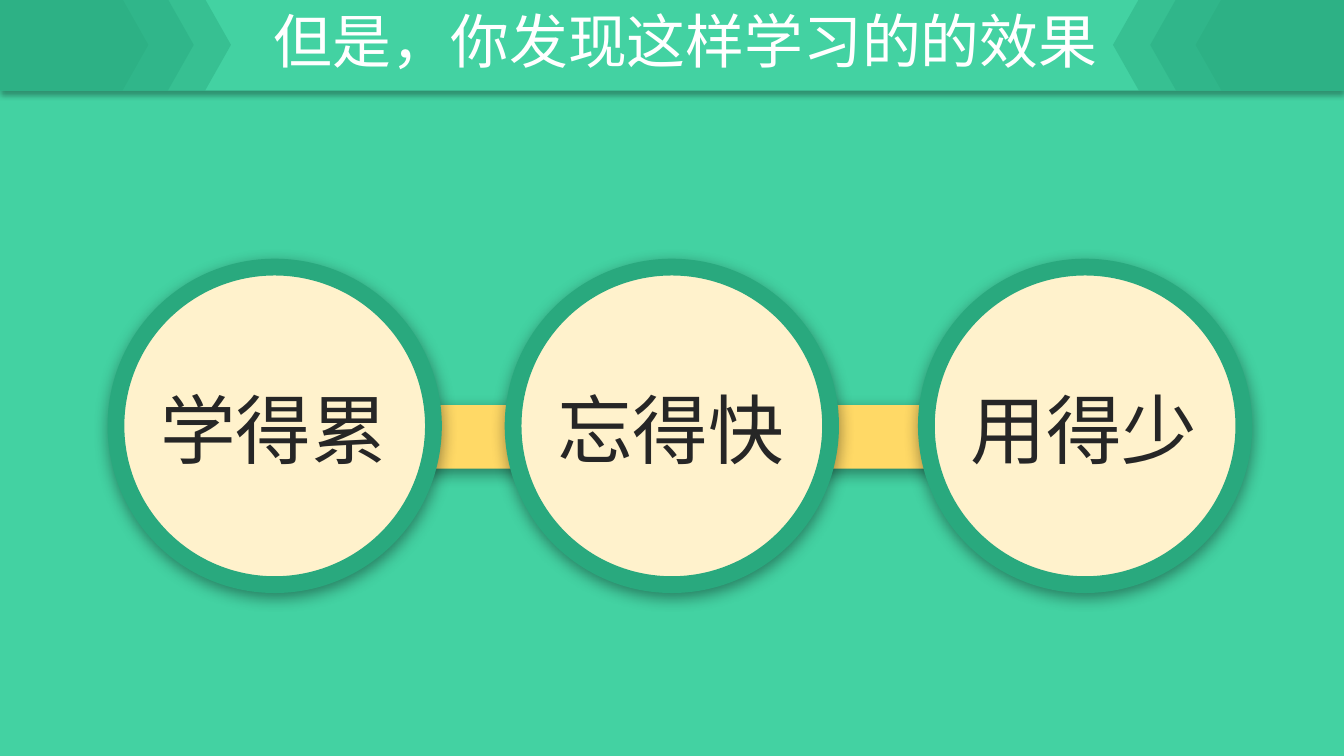
from lxml.etree import SubElement
from pptx import Presentation
from pptx.dml.color import RGBColor
from pptx.enum.shapes import MSO_SHAPE
from pptx.enum.text import MSO_AUTO_SIZE
from pptx.oxml.ns import qn
from pptx.util import Pt

TITLE = "但是，你发现这样学习的的效果"
# Left edge of each circle, and its words
CIRCLES = [(82.8, "学得累"), (366.5, "忘得快"), (661.7, "用得少")]
PLATE_WIDTHS = [108, 140.4, 167]

FONT = "Noto Sans CJK SC"
GREEN = RGBColor(0x43, 0xD2, 0xA2)
RING_GREEN = RGBColor(0x29, 0xA9, 0x7E)
PLATE_GREEN = RGBColor(0x2A, 0xAC, 0x81)
YELLOW = RGBColor(0xFF, 0xD9, 0x66)
CREAM = RGBColor(0xFF, 0xF2, 0xCC)
DARK = RGBColor(0x26, 0x26, 0x26)
WHITE = RGBColor(0xFF, 0xFF, 0xFF)

SLIDE_WIDTH, SLIDE_HEIGHT = 960, 540
CIRCLE_TOP, CIRCLE_SIZE = 190.8, 226.8
LABEL_TOP, LABEL_WIDTH, LABEL_HEIGHT = 270, 177.8, 72.7
HEADER_TOP, HEADER_HEIGHT = -0.7, 65.5
PLATE_OVERHANG = 2


def add_filled_shape(slide, kind, left, top, width, height, color):
    shape = slide.shapes.add_shape(kind, Pt(left), Pt(top), Pt(width), Pt(height))
    shape.shadow.inherit = False
    shape.fill.solid()
    shape.fill.fore_color.rgb = color
    shape.line.fill.background()
    return shape


def add_shadow(shape, opacity, blur):
    """Cast a soft black shadow straight down."""
    effects = shape._element.spPr.find(qn("a:effectLst"))
    shadow = SubElement(effects, qn("a:outerShdw"), blurRad=str(Pt(blur)),
                        dist=str(Pt(3)), dir="5400000", algn="t", rotWithShape="0")
    black = SubElement(shadow, qn("a:srgbClr"), val="000000")
    SubElement(black, qn("a:alpha"), val=str(opacity * 1000))


def add_text(slide, text, left, top, width, height, size, color):
    box = slide.shapes.add_textbox(Pt(left), Pt(top), Pt(width), Pt(height))
    frame = box.text_frame
    frame.word_wrap = False
    frame.auto_size = MSO_AUTO_SIZE.SHAPE_TO_FIT_TEXT
    run = frame.paragraphs[0].add_run()
    run.text = text
    run.font.size = Pt(size)
    run.font.color.rgb = color
    run.font.name = FONT
    SubElement(run._r.get_or_add_rPr(), qn("a:ea"), typeface=FONT)


def add_plate(slide, left, width):
    plate = add_filled_shape(slide, MSO_SHAPE.PENTAGON, left, HEADER_TOP,
                             width, HEADER_HEIGHT, PLATE_GREEN)
    plate.adjustments[0] = 0.283
    color = plate._element.spPr.find(qn("a:solidFill"))[0]
    SubElement(color, qn("a:alpha"), val="47000")
    return plate


def add_circles(slide):
    band = add_filled_shape(slide, MSO_SHAPE.CHEVRON, 233.3, 289.4, 570.2, 45.4, YELLOW)
    band.rotation = 180
    add_shadow(band, 40, 11)
    for left, label in CIRCLES:
        circle = add_filled_shape(slide, MSO_SHAPE.OVAL, left, CIRCLE_TOP,
                                  CIRCLE_SIZE, CIRCLE_SIZE, CREAM)
        circle.line.color.rgb = RING_GREEN
        circle.line.width = Pt(12)
        add_shadow(circle, 40, 11)
        label_left = left + (CIRCLE_SIZE - LABEL_WIDTH) / 2
        add_text(slide, label, label_left, LABEL_TOP, LABEL_WIDTH, LABEL_HEIGHT, 54, DARK)


def add_header(slide):
    bar = add_filled_shape(slide, MSO_SHAPE.RECTANGLE, 0, HEADER_TOP,
                           SLIDE_WIDTH, HEADER_HEIGHT, GREEN)
    add_shadow(bar, 31, 4)
    for width in PLATE_WIDTHS:
        add_plate(slide, -PLATE_OVERHANG, width)
        right_plate = add_plate(slide, SLIDE_WIDTH + PLATE_OVERHANG - width, width)
        right_plate.rotation = 180
    add_text(slide, TITLE, 188.6, 0, 608.4, 58.3, 42, WHITE)


def main():
    presentation = Presentation()
    presentation.slide_width = Pt(SLIDE_WIDTH)
    presentation.slide_height = Pt(SLIDE_HEIGHT)
    slide = presentation.slides.add_slide(presentation.slide_layouts[6])
    slide.background.fill.solid()
    slide.background.fill.fore_color.rgb = GREEN
    add_circles(slide)
    add_header(slide)
    presentation.save("out.pptx")


if __name__ == "__main__":
    main()
